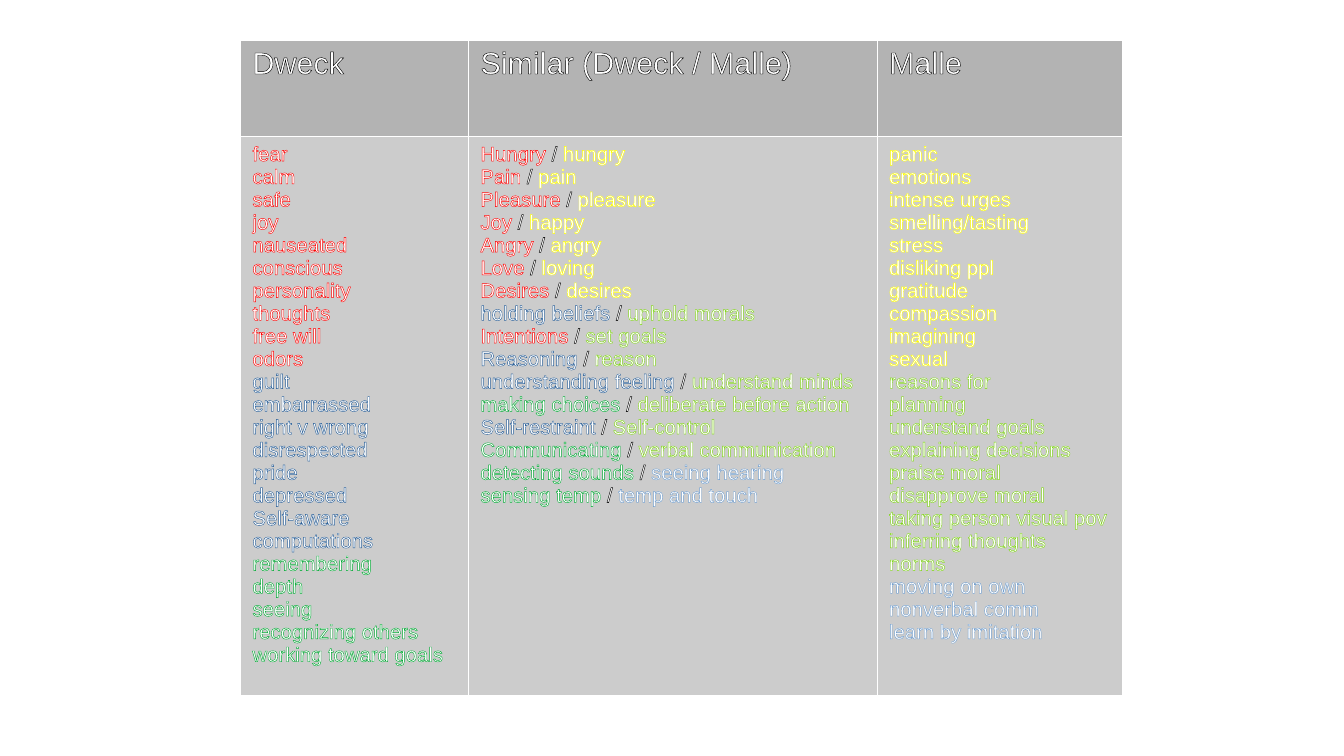
import pptx
import pptx.dml.color
import pptx.oxml.ns
import pptx.util
from dataclasses import dataclass
from lxml import etree

Inches = pptx.util.Inches
Pt = pptx.util.Pt
qn = pptx.oxml.ns.qn


@dataclass(frozen=True)
class Theme:
    font: str = "Arial"
    header_size: int = 18
    body_size: int = 12
    white: str = "FFFFFF"
    black: str = "000000"
    header_fill: str = "B3B3B3"
    body_fill: str = "CCCCCC"
    red: str = "FF0000"
    navy: str = "2A6099"
    green: str = "00A933"
    yellow: str = "FFFF00"
    lime: str = "81D41A"
    sky: str = "729FCF"
    outline: float = 0.75
    border: float = 0.06


THEME = Theme()

HEADERS = ["Dweck", "Similar (Dweck / Malle)", "Malle"]
COLUMN_WIDTHS = [1.87, 3.35, 2.01]
ROW_HEIGHTS = [0.79, 4.58]

DWECK = [
    (THEME.red, ["fear", "calm", "safe", "joy", "nauseated", "conscious",
                 "personality", "thoughts", "free will", "odors"]),
    (THEME.navy, ["guilt", "embarrassed", "right v wrong", "disrespected",
                  "pride", "depressed", "Self-aware", "computations"]),
    (THEME.green, ["remembering", "depth", "seeing", "recognizing others",
                   "working toward goals"]),
]

SIMILAR = [
    ("Hungry", THEME.red, "hungry", THEME.yellow),
    ("Pain", THEME.red, "pain", THEME.yellow),
    ("Pleasure", THEME.red, "pleasure", THEME.yellow),
    ("Joy", THEME.red, "happy", THEME.yellow),
    ("Angry", THEME.red, "angry", THEME.yellow),
    ("Love", THEME.red, "loving", THEME.yellow),
    ("Desires", THEME.red, "desires", THEME.yellow),
    ("holding beliefs", THEME.navy, "uphold morals", THEME.lime),
    ("Intentions", THEME.red, "set goals", THEME.lime),
    ("Reasoning", THEME.navy, "reason", THEME.lime),
    ("understanding feeling", THEME.navy, "understand minds", THEME.lime),
    ("making choices", THEME.green, "deliberate before action", THEME.lime),
    ("Self-restraint", THEME.navy, "Self-control", THEME.lime),
    ("Communicating", THEME.green, "verbal communication", THEME.lime),
    ("detecting sounds", THEME.green, "seeing hearing", THEME.sky),
    ("sensing temp", THEME.green, "temp and touch", THEME.sky),
]

MALLE = [
    (THEME.yellow, ["panic", "emotions", "intense urges", "smelling/tasting",
                    "stress", "disliking ppl", "gratitude", "compassion",
                    "imagining", "sexual"]),
    (THEME.lime, ["reasons for", "planning", "understand goals",
                  "explaining decisions", "praise moral", "disapprove moral",
                  "taking person visual pov", "inferring thoughts", "norms"]),
    (THEME.sky, ["moving on own", "nonverbal comm", "learn by imitation"]),
]


def rgb(color):
    return pptx.dml.color.RGBColor.from_string(color)


def line_xml(tag, width, color):
    ln = etree.Element(qn(tag), w=str(int(Pt(width))))
    fill = etree.SubElement(ln, qn("a:solidFill"))
    etree.SubElement(fill, qn("a:srgbClr"), val=color)
    return ln


def add_outlined_run(p, text, color):
    r = p.add_run()
    r.text = text
    r.font.color.rgb = rgb(THEME.white)
    r.font._element.insert(0, line_xml("a:ln", THEME.outline, color))


def fill_cell(cell, lines, size, fill):
    tf = cell.text_frame
    for i, line in enumerate(lines):
        p = tf.add_paragraph() if i else tf.paragraphs[0]
        p.font.name = THEME.font
        p.font.size = Pt(size)
        for text, color in line:
            add_outlined_run(p, text, color)
    cell.fill.solid()
    cell.fill.fore_color.rgb = rgb(fill)
    tc_pr = cell._tc.get_or_add_tcPr()
    for i, side in enumerate(["a:lnL", "a:lnR", "a:lnT", "a:lnB"]):
        tc_pr.insert(i, line_xml(side, THEME.border, THEME.white))


def grouped_lines(groups):
    return [[(word, color)] for color, words in groups for word in words]


def paired_lines(pairs):
    return [[(left + " ", left_color), ("/ ", THEME.black), (right, right_color)]
            for left, left_color, right, right_color in pairs]


def add_comparison_table(s):
    table = s.shapes.add_table(
        len(ROW_HEIGHTS), len(COLUMN_WIDTHS), Inches(1.97), Inches(0.33),
        Inches(sum(COLUMN_WIDTHS)), Inches(sum(ROW_HEIGHTS))).table
    table.first_row = False
    table.horz_banding = False
    for column, width in zip(table.columns, COLUMN_WIDTHS):
        column.width = Inches(width)
    for row, height in zip(table.rows, ROW_HEIGHTS):
        row.height = Inches(height)
    bodies = [grouped_lines(DWECK), paired_lines(SIMILAR), grouped_lines(MALLE)]
    for i, (header, body) in enumerate(zip(HEADERS, bodies)):
        fill_cell(table.cell(0, i), [[(header, THEME.black)]],
                  THEME.header_size, THEME.header_fill)
        fill_cell(table.cell(1, i), body, THEME.body_size, THEME.body_fill)


def main():
    prs = pptx.Presentation()
    prs.slide_width = Inches(11.02)
    prs.slide_height = Inches(6.2)
    s = prs.slides.add_slide(prs.slide_layouts[6])
    add_comparison_table(s)
    prs.save("out.pptx")


if __name__ == "__main__":
    main()
